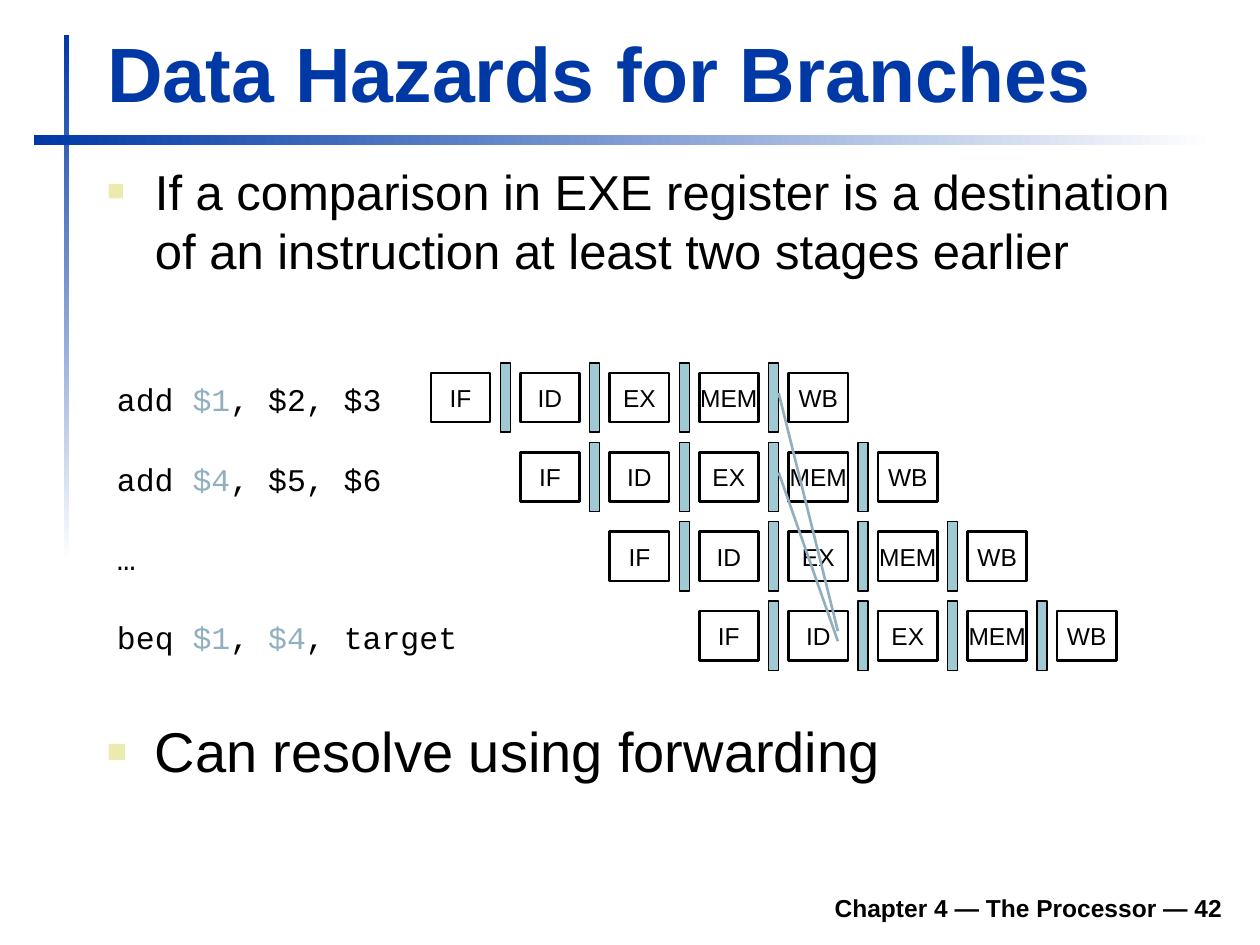
from pptx import Presentation
from pptx.dml.color import RGBColor
from pptx.enum.shapes import MSO_CONNECTOR, MSO_SHAPE
from pptx.enum.text import MSO_ANCHOR, MSO_AUTO_SIZE, PP_ALIGN
from pptx.oxml.ns import qn
from pptx.util import Inches, Pt
from lxml.etree import SubElement

BLUE = RGBColor(0x00, 0x39, 0xA6)
WHITE = RGBColor(0xFF, 0xFF, 0xFF)
BLACK = RGBColor(0x00, 0x00, 0x00)
TEAL = RGBColor(0x9F, 0xCA, 0xD3)
STEEL = RGBColor(0x91, 0xAF, 0xBF)
CREAM = RGBColor(0xEC, 0xEA, 0xAC)

STAGES = ["IF", "ID", "EX", "MEM", "WB"]
INSTRUCTIONS = [
    [("add ", BLACK), ("$1", STEEL), (", $2, $3", BLACK)],
    [("add ", BLACK), ("$4", STEEL), (", $5, $6", BLACK)],
    [("…", BLACK)],
    [("beq ", BLACK), ("$1", STEEL), (", ", BLACK), ("$4", STEEL), (", target", BLACK)],
]
CODE_WIDTHS = [2.3, 2.3, 0.35, 2.91]
FORWARDS = [(3.12, 5.01), (3.75, 5.09)]

STAGE_LEFT, STAGE_TOP = 3.42, 2.96
STAGE_WIDTH, STAGE_HEIGHT = 0.47, 0.39
COLUMN_STEP, ROW_STEP = 0.71, 0.63


def place(shape, left, top, width, height):
    shape.left, shape.top = Inches(left), Inches(top)
    shape.width, shape.height = Inches(width), Inches(height)


def add_run(paragraph, text, size, color=BLACK, font="Arial", bold=False):
    run = paragraph.add_run()
    run.text = text
    run.font.name = font
    run.font.size = Pt(size)
    run.font.bold = bold
    run.font.color.rgb = color


def add_text_box(slide, left, top, width, height, wrap=True):
    box = slide.shapes.add_textbox(
        Inches(left), Inches(top), Inches(width), Inches(height))
    box.text_frame.word_wrap = wrap
    return box


def add_rectangle(shapes, left, top, width, height):
    shape = shapes.add_shape(
        MSO_SHAPE.RECTANGLE, Inches(left), Inches(top), Inches(width), Inches(height))
    shape.shadow.inherit = False
    return shape


def add_gradient_bar(slide, left, top, width, height, angle):
    bar = add_rectangle(slide.shapes, left, top, width, height)
    bar.line.fill.background()
    bar.fill.gradient()
    bar.fill.gradient_angle = angle
    for stop, color in zip(bar.fill.gradient_stops, (BLUE, WHITE)):
        stop.color.rgb = color


def add_stage(shapes, left, top, label):
    stage = add_rectangle(shapes, left, top, STAGE_WIDTH, STAGE_HEIGHT)
    stage.fill.background()
    stage.line.color.rgb = BLACK
    stage.line.width = Pt(1.5)
    frame = stage.text_frame
    frame.word_wrap = False
    frame.vertical_anchor = MSO_ANCHOR.MIDDLE
    paragraph = frame.paragraphs[0]
    paragraph.alignment = PP_ALIGN.CENTER
    add_run(paragraph, label, 14)


def add_register(shapes, left, top):
    register = add_rectangle(shapes, left, top, 0.08, 0.55)
    register.fill.solid()
    register.fill.fore_color.rgb = TEAL
    register.line.color.rgb = BLACK
    register.line.width = Pt(0.75)


def add_pipeline(slide, row):
    shapes = slide.shapes.add_group_shape().shapes
    top = STAGE_TOP + row * ROW_STEP
    lefts = [STAGE_LEFT + (row + column) * COLUMN_STEP for column in range(len(STAGES))]
    for left, label in zip(lefts, STAGES):
        add_stage(shapes, left, top, label)
    for left in lefts[:-1]:
        add_register(shapes, left + 0.55, top - 0.08)


def add_instruction(slide, row):
    top = STAGE_TOP + 0.01 + row * ROW_STEP
    box = add_text_box(slide, 0.83, top, CODE_WIDTHS[row], 0.4, wrap=False)
    for text, color in INSTRUCTIONS[row]:
        add_run(box.text_frame.paragraphs[0], text, 18, color, "Courier New")


def add_forward(slide, start_top, end_top):
    line = slide.shapes.add_connector(
        MSO_CONNECTOR.STRAIGHT,
        Inches(6.18), Inches(start_top), Inches(6.65), Inches(end_top))
    line.line.color.rgb = STEEL
    line.line.width = Pt(1.5)
    SubElement(line._element.spPr, qn("a:effectLst"))


def write_bullet(shape, text, size):
    paragraph = shape.text_frame.paragraphs[0]
    properties = paragraph._p.get_or_add_pPr()
    properties.set("marL", str(Inches(0.38)))
    properties.set("indent", str(-Inches(0.38)))
    color = SubElement(properties, qn("a:buClr"))
    SubElement(color, qn("a:srgbClr"), val=str(CREAM))
    SubElement(properties, qn("a:buSzPct"), val="60000")
    SubElement(properties, qn("a:buFont"), typeface="Arial")
    SubElement(properties, qn("a:buChar"), char="■")
    paragraph.space_before = Pt(0)
    add_run(paragraph, text, size)


def write_title(slide, text):
    title = slide.shapes.title
    place(title, 0.75, 0.16, 9.03, 0.83)
    frame = title.text_frame
    frame.auto_size = MSO_AUTO_SIZE.NONE
    frame.vertical_anchor = MSO_ANCHOR.BOTTOM
    paragraph = frame.paragraphs[0]
    paragraph.alignment = PP_ALIGN.LEFT
    add_run(paragraph, text, 44, BLUE, bold=True)


def write_body(slide, text):
    body = slide.placeholders[1]
    place(body, 0.75, 1.23, 9.04, 1.34)
    body.text_frame.auto_size = MSO_AUTO_SIZE.NONE
    write_bullet(body, text, 28)


def add_footer(slide, text):
    footer = add_text_box(slide, 1.85, 6.98, 7.95, 0.39)
    footer.text_frame.vertical_anchor = MSO_ANCHOR.BOTTOM
    paragraph = footer.text_frame.paragraphs[0]
    paragraph.alignment = PP_ALIGN.RIGHT
    add_run(paragraph, text, 14, bold=True)


def main():
    presentation = Presentation()
    presentation.slide_width = Inches(10)
    presentation.slide_height = Inches(7.5)
    slide = presentation.slides.add_slide(presentation.slide_layouts[1])

    add_gradient_bar(slide, 0.51, 0.28, 0.04, 4.17, 270)
    add_gradient_bar(slide, 0.27, 1.07, 9.37, 0.08, 0)
    write_title(slide, "Data Hazards for Branches")
    write_body(slide, "If a comparison in EXE register is a destination "
                      "of an instruction at least two stages earlier")
    for row in range(len(INSTRUCTIONS)):
        add_instruction(slide, row)
        add_pipeline(slide, row)
    for start_top, end_top in FORWARDS:
        add_forward(slide, start_top, end_top)
    conclusion = add_text_box(slide, 0.75, 5.64, 8.5, 0.71)
    write_bullet(conclusion, "Can resolve using forwarding", 32)
    add_footer(slide, "Chapter 4 — The Processor — 42")

    presentation.save("out.pptx")


if __name__ == "__main__":
    main()
